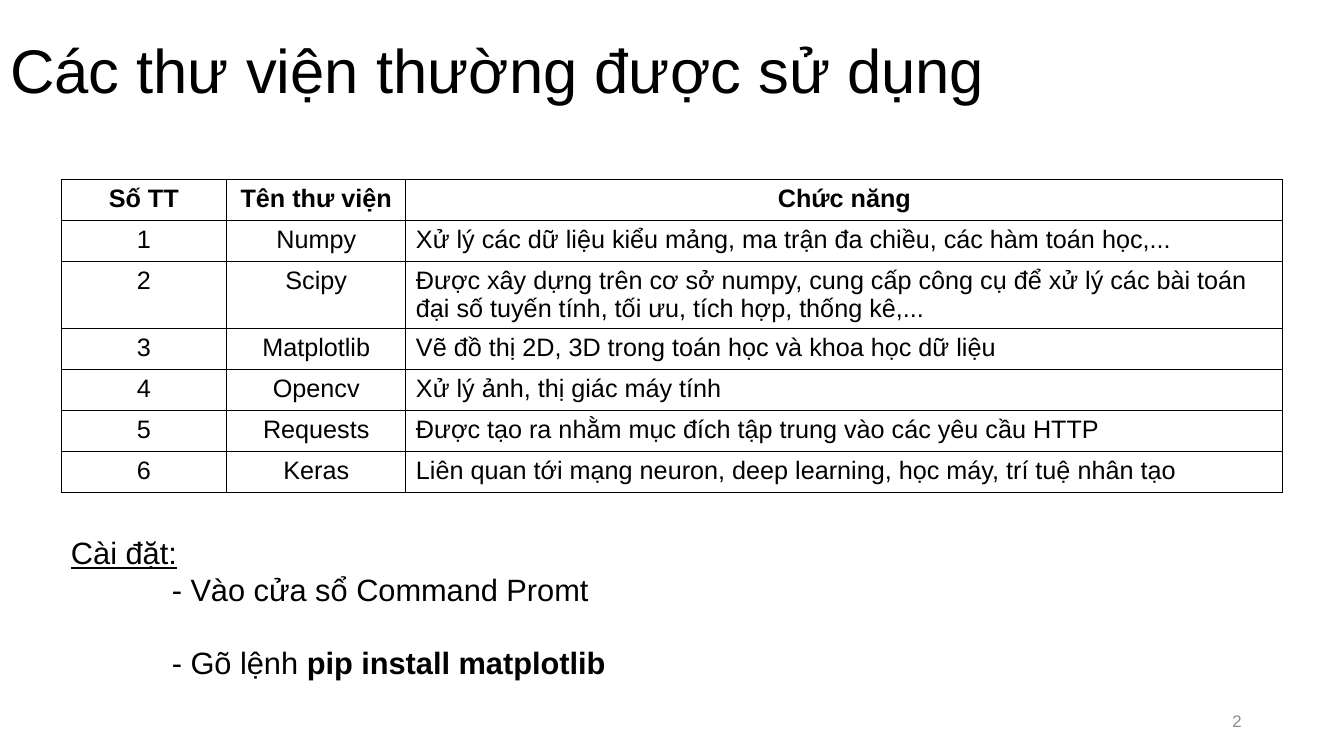
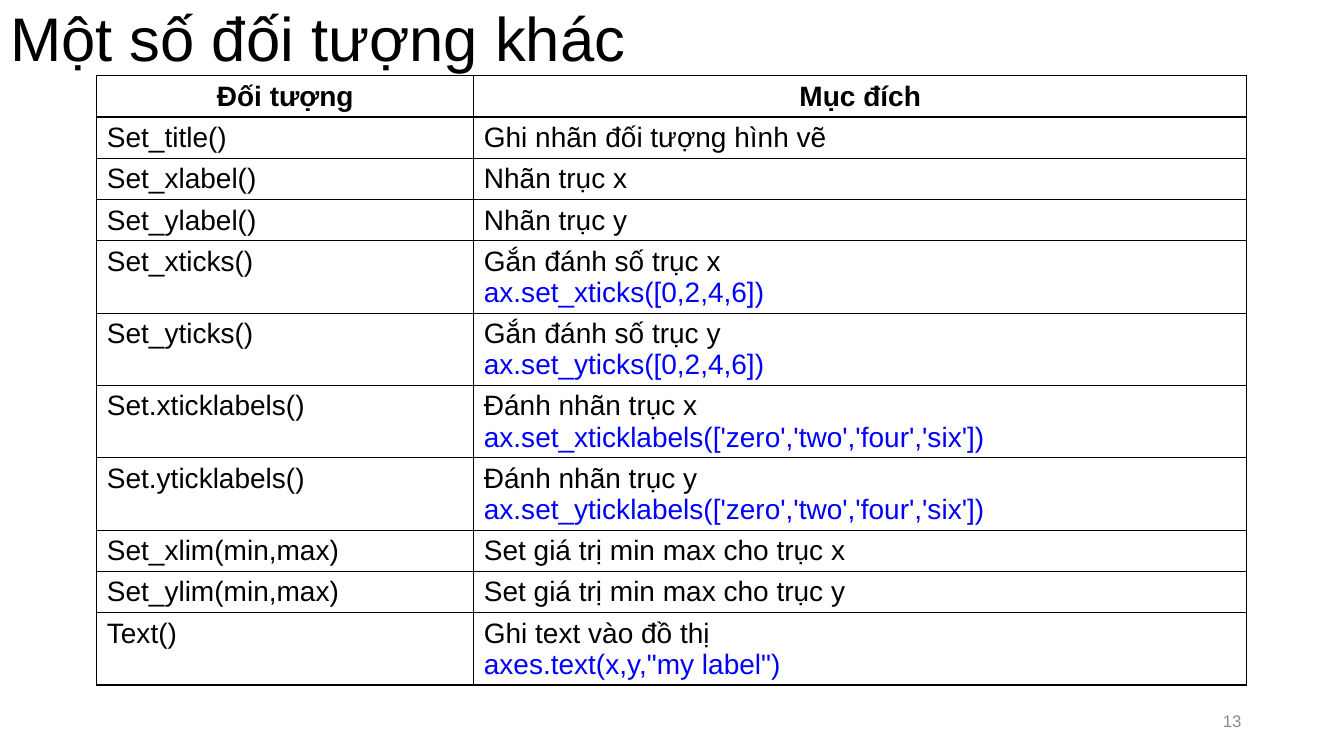
import pptx
import pptx.dml.color
import pptx.enum.text
import pptx.util
from lxml import etree
from pptx.oxml import ns

Cm, Pt = pptx.util.Cm, pptx.util.Pt
Align = pptx.enum.text.PP_ALIGN
Anchor = pptx.enum.text.MSO_ANCHOR
AutoSize = pptx.enum.text.MSO_AUTO_SIZE

# Shared look
FONT = "Arial"
BLACK = pptx.dml.color.RGBColor(0x00, 0x00, 0x00)
GREY = pptx.dml.color.RGBColor(0x8C, 0x8C, 0x8C)
BLUE = pptx.dml.color.RGBColor(0x00, 0x00, 0xFF)
SLIDE_WIDTH, SLIDE_HEIGHT = Cm(33.87), Cm(19.05)
TITLE_HEIGHT = Cm(3.69)
TITLE_ONLY = 5

# Table contents; a pair in a cell is a purpose and its code example
LIBRARIES = [
    ("Số TT", "Tên thư viện", "Chức năng"),
    ("1", "Numpy", "Xử lý các dữ liệu kiểu mảng, ma trận đa chiều, các hàm toán học,..."),
    ("2", "Scipy", "Được xây dựng trên cơ sở numpy, cung cấp công cụ để xử lý các bài toán "
                   "đại số tuyến tính, tối ưu, tích hợp, thống kê,..."),
    ("3", "Matplotlib", "Vẽ đồ thị 2D, 3D trong toán học và khoa học dữ liệu"),
    ("4", "Opencv", "Xử lý ảnh, thị giác máy tính"),
    ("5", "Requests", "Được tạo ra nhằm mục đích tập trung vào các yêu cầu HTTP"),
    ("6", "Keras", "Liên quan tới mạng neuron, deep learning, học máy, trí tuệ nhân tạo"),
]
OBJECTS = [
    ("Đối tượng", "Mục đích"),
    ("Set_title()", "Ghi nhãn đối tượng hình vẽ"),
    ("Set_xlabel()", "Nhãn trục x"),
    ("Set_ylabel()", "Nhãn trục y"),
    ("Set_xticks()", ("Gắn đánh số trục x", "ax.set_xticks([0,2,4,6])")),
    ("Set_yticks()", ("Gắn đánh số trục y", "ax.set_yticks([0,2,4,6])")),
    ("Set.xticklabels()", ("Đánh nhãn trục x", "ax.set_xticklabels(['zero','two','four','six'])")),
    ("Set.yticklabels()", ("Đánh nhãn trục y", "ax.set_yticklabels(['zero','two','four','six'])")),
    ("Set_xlim(min,max)", "Set giá trị min max cho trục x"),
    ("Set_ylim(min,max)", "Set giá trị min max cho trục y"),
    ("Text()", ("Ghi text vào đồ thị", 'axes.text(x,y,"my label")')),
]


def add_run(paragraph, text, size, color=BLACK, bold=False, underline=False):
    run = paragraph.add_run()
    run.text = text
    font = run.font
    font.name, font.size, font.bold, font.underline = FONT, Pt(size), bold, underline
    font.color.rgb = color


def next_paragraph(frame, index):
    return frame.add_paragraph() if index else frame.paragraphs[0]


def add_titled_slide(deck, title_text, number, title_top=Cm(0)):
    slide = deck.slides.add_slide(deck.slide_layouts[TITLE_ONLY])
    title = slide.shapes.title
    title.left, title.top, title.width, title.height = Cm(0), title_top, SLIDE_WIDTH, TITLE_HEIGHT
    frame = title.text_frame
    frame.auto_size = AutoSize.NONE
    frame.vertical_anchor = Anchor.MIDDLE
    heading = frame.paragraphs[0]
    heading.alignment, heading.line_spacing = Align.LEFT, 0.9
    add_run(heading, title_text, 44)

    # Page number
    footer = slide.shapes.add_textbox(Cm(23.92), Cm(17.65), Cm(7.62), Cm(1.01)).text_frame
    footer.word_wrap = True
    footer.vertical_anchor = Anchor.MIDDLE
    footer.paragraphs[0].alignment = Align.RIGHT
    add_run(footer.paragraphs[0], str(number), 12, GREY)
    return slide


def add_borders(cell):
    properties = cell._tc.get_or_add_tcPr()
    for side in ("a:lnL", "a:lnR", "a:lnT", "a:lnB"):
        line = etree.SubElement(properties, ns.qn(side), w=str(Pt(1)))
        fill = etree.SubElement(line, ns.qn("a:solidFill"))
        etree.SubElement(fill, ns.qn("a:srgbClr"), val=str(BLACK))


def fill_cell(cell, content, size, header, centered):
    add_borders(cell)
    cell.fill.background()
    lines = (content,) if isinstance(content, str) else content
    for index, text in enumerate(lines):
        paragraph = next_paragraph(cell.text_frame, index)
        paragraph.alignment = Align.CENTER if centered else Align.LEFT
        add_run(paragraph, text, size, BLUE if index else BLACK, bold=header)


def add_grid(slide, rows, left, top, widths, row_height, size, bottom_margin, centered_columns=0):
    table = slide.shapes.add_table(len(rows), len(widths), left, top,
                                   sum(widths), row_height * len(rows)).table
    table.first_row = table.horz_banding = False
    for column, width in zip(table.columns, widths):
        column.width = width
    for r, row in enumerate(rows):
        table.rows[r].height = row_height
        for c, content in enumerate(row):
            cell = table.cell(r, c)
            cell.margin_bottom = bottom_margin
            fill_cell(cell, content, size, r == 0, r == 0 or c < centered_columns)


def add_install_steps(slide):
    frame = slide.shapes.add_textbox(Cm(1.54), Cm(13.32), Cm(30.78), Cm(4.01)).text_frame
    frame.word_wrap = True
    add_run(frame.paragraphs[0], "Cài đặt:", 22, underline=True)
    steps = [("- Vào cửa sổ Command Promt", "", 0), ("- Gõ lệnh ", "pip install matplotlib", 26)]
    for text, command, gap in steps:
        step = frame.add_paragraph()
        step._p.get_or_add_pPr().set("marL", str(Cm(2.54)))
        step.space_before = Pt(gap)
        add_run(step, text, 22)
        if command:
            add_run(step, command, 22, bold=True)


def main():
    deck = pptx.Presentation()
    deck.slide_width, deck.slide_height = SLIDE_WIDTH, SLIDE_HEIGHT

    # Common libraries
    libraries = add_titled_slide(deck, "Các thư viện thường được sử dụng", 2)
    add_grid(libraries, LIBRARIES, Cm(1.54), Cm(4.53), [Cm(4.17), Cm(4.52), Cm(22.1)],
             Cm(1.03), 18, Cm(0.04), centered_columns=2)
    add_install_steps(libraries)

    # Other plot objects
    objects = add_titled_slide(deck, "Một số đối tượng khác", 13, Cm(-0.81))
    add_grid(objects, OBJECTS, Cm(2.44), Cm(1.91), [Cm(9.5), Cm(19.48)],
             Cm(1.04), 20, Cm(0))

    deck.save("out.pptx")


if __name__ == "__main__":
    main()
